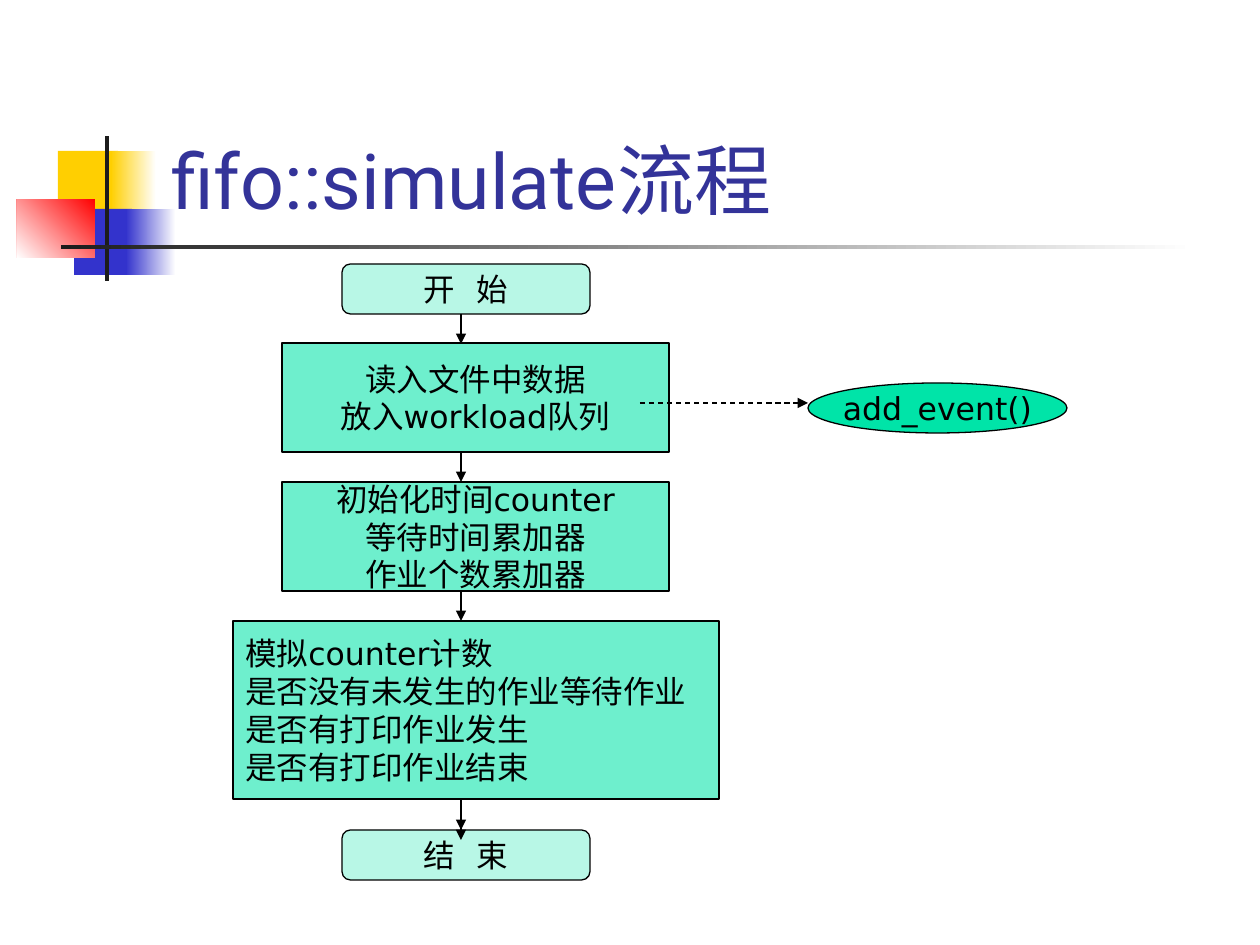
from dataclasses import dataclass
from lxml import etree
from pptx import Presentation
from pptx.dml.color import RGBColor
from pptx.enum.dml import MSO_LINE
from pptx.enum.shapes import MSO_CONNECTOR, MSO_SHAPE
from pptx.enum.text import MSO_ANCHOR, PP_ALIGN
from pptx.oxml.ns import qn
from pptx.util import Emu, Pt

RECT = MSO_SHAPE.RECTANGLE
TERMINAL = MSO_SHAPE.FLOWCHART_ALTERNATE_PROCESS
ELLIPSE = MSO_SHAPE.OVAL
STRAIGHT = MSO_CONNECTOR.STRAIGHT
DASH = MSO_LINE.DASH
MIDDLE, BOTTOM = MSO_ANCHOR.MIDDLE, MSO_ANCHOR.BOTTOM
LEFT, CENTER = PP_ALIGN.LEFT, PP_ALIGN.CENTER

SCALE = 914400 / 126
COLORS = {
    "white": "FFFFFF", "black": "000000", "yellow": "FFCF01", "blue": "3333CC",
    "red": "FF0000", "charcoal": "1C1C1C", "title": "333399", "green": "00E4A8",
}
TITLE_FONT = {"name": "Roboto", "size": Pt(44)}
BODY_FONT = {"name": "DejaVu Sans", "size": Pt(18)}
FLOW_X = 461


@dataclass
class Block:
    x: int
    y: int
    w: int
    h: int
    color: str
    fade_to: str = ""
    angle: int = 180


@dataclass
class Node:
    kind: int
    x: int
    y: int
    w: int
    h: int
    lines: list[str]
    opacity: int = 57
    align: int = CENTER
    spacing: int = 0


@dataclass
class Arrow:
    x1: int
    y1: int
    x2: int
    y2: int
    dashed: bool = False


BLOCKS = [
    Block(58, 151, 60, 66, "yellow"),
    Block(111, 151, 45, 66, "white", "yellow"),
    Block(74, 209, 58, 66, "blue"),
    Block(126, 209, 50, 66, "white", "blue"),
    Block(17, 199, 78, 59, "red", "white", 225),
    Block(105, 136, 4, 145, "charcoal"),
    Block(61, 245, 1134, 4, "white", "charcoal"),
]
NODES = [
    Node(TERMINAL, 342, 264, 248, 50, ["开 始"], 28, spacing=400),
    Node(RECT, 282, 343, 387, 109, ["读入文件中数据", "放入workload队列"]),
    Node(RECT, 282, 482, 387, 109,
         ["初始化时间counter", "等待时间累加器", "作业个数累加器"]),
    Node(RECT, 233, 621, 486, 178,
         ["模拟counter计数", "是否没有未发生的作业等待作业",
          "是否有打印作业发生", "是否有打印作业结束"], align=LEFT),
    Node(TERMINAL, 342, 830, 248, 50, ["结 束"], 28, spacing=400),
    Node(ELLIPSE, 808, 383, 259, 50, ["add_event()"], 100),
]
ARROWS = [
    *(Arrow(FLOW_X, y, FLOW_X, y + 30) for y in (314, 452, 591, 800, 810)),
    Arrow(640, 403, 808, 403, True),
]


def px(*values: int) -> list[Emu]:
    return [Emu(round(v * SCALE)) for v in values]


def rgb(name: str) -> RGBColor:
    return RGBColor.from_string(COLORS[name])


def write(tf, lines: list[str], font: dict, color: str, align: int,
          anchor: int, wrap: bool, spacing: int = 0) -> None:
    tf.word_wrap = wrap
    tf.vertical_anchor = anchor
    for i, line in enumerate(lines):
        p = tf.add_paragraph() if i else tf.paragraphs[0]
        p.alignment = align
        r = p.add_run()
        r.text = line
        for key, value in font.items():
            setattr(r.font, key, value)
        r.font.color.rgb = rgb(color)
        if spacing:
            r.font._element.set("spc", str(spacing))


def draw_block(s, b: Block) -> None:
    sp = s.shapes.add_shape(RECT, *px(b.x, b.y, b.w, b.h))
    sp.shadow.inherit = False
    sp.line.fill.background()
    if b.fade_to:
        sp.fill.gradient()
        sp.fill.gradient_angle = b.angle
        for stop, name in zip(sp.fill.gradient_stops, (b.color, b.fade_to)):
            stop.color.rgb = rgb(name)
        for stop, position in zip(sp.fill.gradient_stops, (0, 1)):
            stop.position = position
    else:
        sp.fill.solid()
        sp.fill.fore_color.rgb = rgb(b.color)


def draw_node(s, n: Node) -> None:
    sp = s.shapes.add_shape(n.kind, *px(n.x, n.y, n.w, n.h))
    sp.shadow.inherit = False
    sp.fill.solid()
    sp.fill.fore_color.rgb = rgb("green")
    if n.opacity < 100:
        color = sp._element.spPr.find(qn("a:solidFill"))[0]
        etree.SubElement(color, qn("a:alpha"), val=str(n.opacity * 1000))
    sp.line.color.rgb = rgb("black")
    sp.line.width = Pt(0.75)
    write(sp.text_frame, n.lines, BODY_FONT, "black", n.align, MIDDLE, False, n.spacing)


def draw_arrow(s, a: Arrow) -> None:
    cxn = s.shapes.add_connector(STRAIGHT, *px(a.x1, a.y1, a.x2, a.y2))
    cxn.line.color.rgb = rgb("black")
    cxn.line.width = Pt(0.75)
    if a.dashed:
        cxn.line.dash_style = DASH
    etree.SubElement(cxn.line._get_or_add_ln(), qn("a:tailEnd"), type="triangle")
    etree.SubElement(cxn._element.spPr, qn("a:effectLst"))


def main() -> None:
    prs = Presentation()
    prs.slide_width, prs.slide_height = px(1260, 945)
    s = prs.slides.add_slide(prs.slide_layouts[6])
    for block in BLOCKS:
        draw_block(s, block)
    title = s.shapes.add_textbox(*px(159, 29, 1074, 202))
    write(title.text_frame, ["fifo::simulate流程"], TITLE_FONT, "title", LEFT, BOTTOM, True)
    for node in NODES:
        draw_node(s, node)
    for arrow in ARROWS:
        draw_arrow(s, arrow)
    prs.save("out.pptx")


if __name__ == "__main__":
    main()
